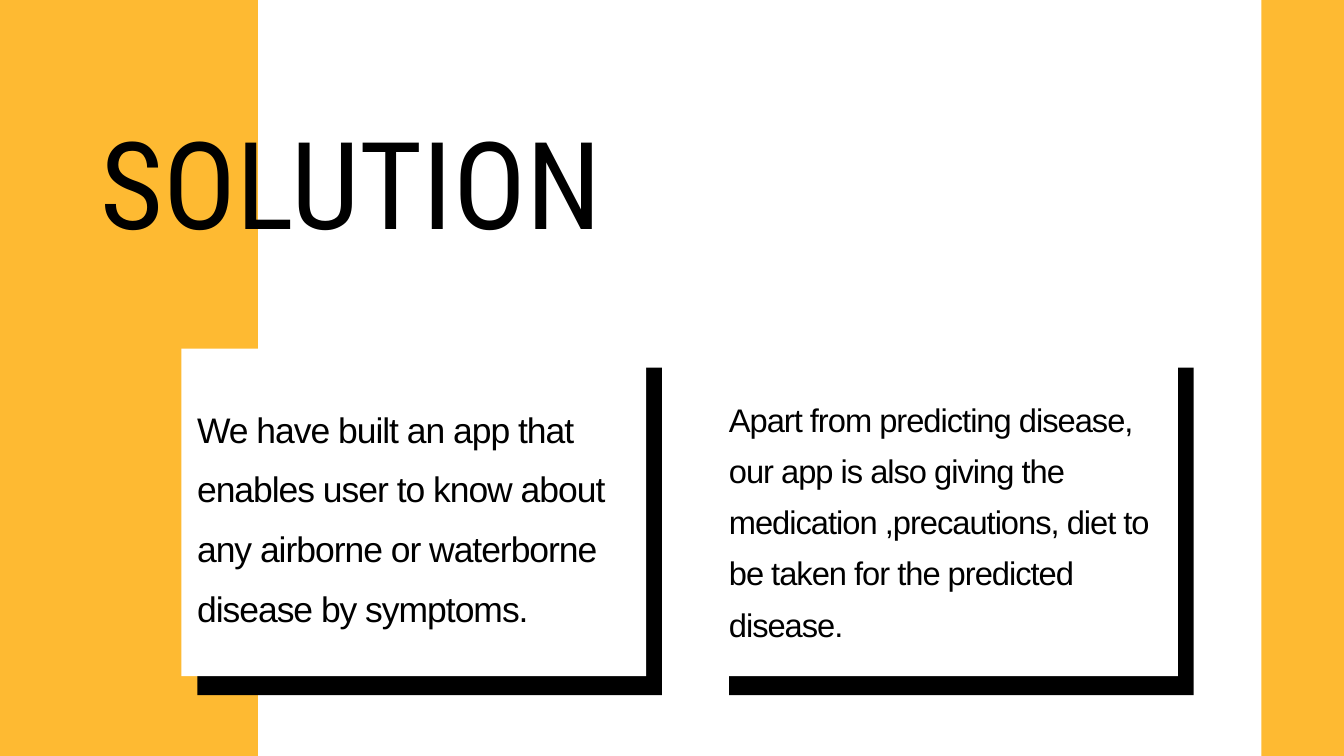
from pptx import Presentation
from pptx.dml.color import RGBColor
from pptx.enum.shapes import MSO_SHAPE
from pptx.enum.text import MSO_AUTO_SIZE
from pptx.util import Cm, Pt

RECTANGLE = MSO_SHAPE.RECTANGLE
GROW = MSO_AUTO_SIZE.SHAPE_TO_FIT_TEXT

THEME = {
    "yellow": RGBColor(0xFE, 0xBA, 0x32),
    "black": RGBColor(0, 0, 0),
    "white": RGBColor(0xFF, 0xFF, 0xFF),
    "title_font": "Roboto Condensed",
    "body_font": "Arial",
    "title_size": 130.2,
    "left_size": 38,
    "right_size": 35,
    "body_tracking": -110,  # hundredths of a point
}

deck = Presentation()
deck.slide_width, deck.slide_height = Cm(50.8), Cm(28.58)
page = deck.slides.add_slide(deck.slide_layouts[6])


def add_block(left, top, width, height, color):
    block = page.shapes.add_shape(RECTANGLE, Cm(left), Cm(top), Cm(width), Cm(height))
    block.shadow.inherit = False
    block.fill.solid()
    block.fill.fore_color.rgb = THEME[color]
    block.line.fill.background()


def add_text(text, left, top, width, height, font, size, leading, tracking=0):
    box = page.shapes.add_textbox(Cm(left), Cm(top), Cm(width), Cm(height))
    frame = box.text_frame
    frame.word_wrap = True
    frame.auto_size = GROW
    frame.margin_left = frame.margin_top = frame.margin_right = frame.margin_bottom = 0
    frame.text = text
    para = frame.paragraphs[0]
    para.line_spacing = Pt(leading)
    span = para.runs[0]
    span.font.name = THEME[font]
    span.font.size = Pt(THEME[size])
    span.font.color.rgb = THEME["black"]
    if tracking:
        span.font._element.set("spc", str(tracking))


# Side bands, bleeding past the page edges
for band_left in (-4.04, 47.68):
    add_block(band_left, -1.68, 13.79, 31.17, "yellow")

# White cards, each over a black offset block
card_top, card_width, card_height = 13.18, 17.56, 12.38
for card_left in (6.86, 26.96):
    add_block(card_left + 0.6, card_top + 0.72, card_width, card_height, "black")
    add_block(card_left, card_top, card_width, card_height, "white")

# Title
add_text("SOLUTION", 3.81, 5.13, 26.34, 4.72, "title_font", "title_size", 126.3)

# Card texts
add_text(
    "We have built an app that enables user to know about any airborne or "
    "waterborne disease by symptoms.",
    7.45, 14.76, 15.85, 8.94, "body_font", "left_size", 64.1, THEME["body_tracking"],
)
add_text(
    "Apart from predicting disease, our app is also giving the medication "
    ",precautions, diet to be taken for the predicted disease.",
    27.55, 14.68, 16.51, 9.55, "body_font", "right_size", 54.7, THEME["body_tracking"],
)

deck.save("out.pptx")
